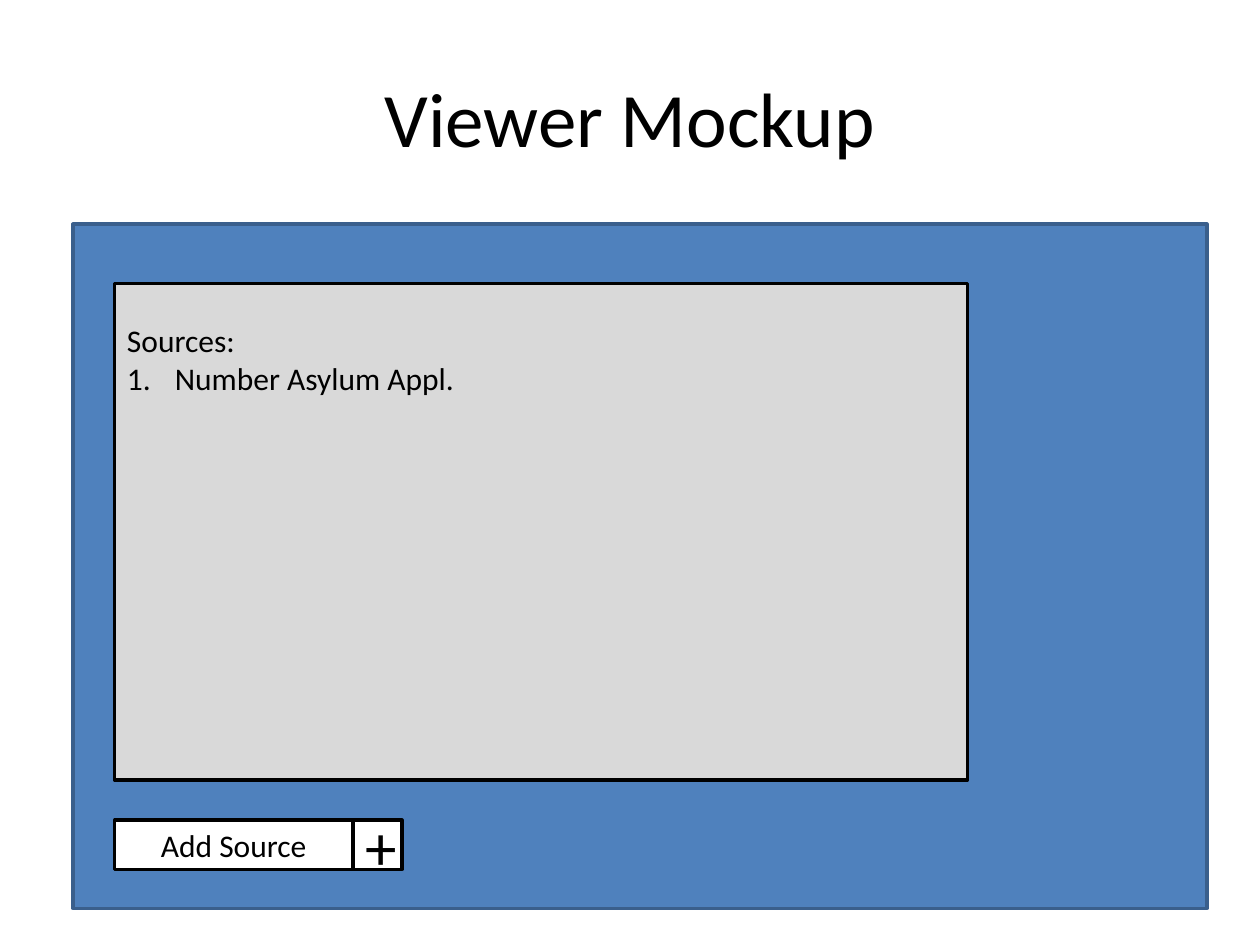
import pptx
import pptx.dml.color
import pptx.enum.shapes
import pptx.enum.text
import pptx.oxml
import pptx.util

Inches = pptx.util.Inches
RGBColor = pptx.dml.color.RGBColor
ALIGN = pptx.enum.text.PP_ALIGN
ANCHOR = pptx.enum.text.MSO_ANCHOR

BLACK = RGBColor(0x00, 0x00, 0x00)
WHITE = RGBColor(0xFF, 0xFF, 0xFF)
GREY = RGBColor(0xD9, 0xD9, 0xD9)
BLUE = RGBColor(0x4F, 0x81, 0xBD)
DARK_BLUE = RGBColor(0x3A, 0x5F, 0x8C)


def write(p, text, size, align):
    p.text = text
    p.alignment = align
    for r in p.runs:
        r.font.name = "Calibri"
        r.font.size = pptx.util.Pt(size)
        r.font.color.rgb = BLACK


def add_box(s, left, top, width, height, fill, line=BLACK):
    sp = s.shapes.add_shape(
        pptx.enum.shapes.MSO_SHAPE.RECTANGLE,
        Inches(left), Inches(top), Inches(width), Inches(height))
    sp.shadow.inherit = False
    sp.fill.solid()
    sp.fill.fore_color.rgb = fill
    sp.line.color.rgb = line
    sp.line.width = pptx.util.Pt(2)
    return sp


def number_paragraph(p, indent):
    pPr = p._p.get_or_add_pPr()
    pPr.set("marL", str(Inches(indent)))
    pPr.set("indent", str(-Inches(indent)))
    pPr.append(pptx.oxml.parse_xml(
        '<a:buFont xmlns:a="http://schemas.openxmlformats.org/drawingml/2006/main"'
        ' typeface="+mj-lt"/>'))
    pPr.append(pptx.oxml.parse_xml(
        '<a:buAutoNum xmlns:a="http://schemas.openxmlformats.org/drawingml/2006/main"'
        ' type="arabicPeriod"/>'))


def add_title(s, left, top, width, height):
    tf = s.shapes.add_textbox(
        Inches(left), Inches(top), Inches(width), Inches(height)).text_frame
    tf.word_wrap = True
    tf.vertical_anchor = ANCHOR.MIDDLE
    write(tf.paragraphs[0], "Viewer Mockup", 44, ALIGN.CENTER)


def add_source_button(s, left, top, width, height):
    # Label, then a square plus button at the right end
    label_width = width - height
    parts = [("Add Source", 18, left, label_width),
             ("+", 36, left + label_width, height)]
    for text, size, x, w in parts:
        tf = add_box(s, x, top, w, height, WHITE).text_frame
        tf.vertical_anchor = ANCHOR.MIDDLE
        write(tf.paragraphs[0], text, size, ALIGN.CENTER)


def add_source_list(s, left, top, width, height):
    tf = add_box(s, left, top, width, height, GREY).text_frame
    tf.vertical_anchor = ANCHOR.TOP
    tf.margin_top = Inches(0.3)
    write(tf.paragraphs[0], "Sources:", 18, ALIGN.LEFT)
    p = tf.add_paragraph()
    number_paragraph(p, 0.38)
    write(p, "Number Asylum Appl.", 18, ALIGN.LEFT)


def add_viewer(s, left, top, width, height):
    add_box(s, left, top, width, height, BLUE, DARK_BLUE)
    inner_left = left + 0.33
    add_source_button(s, inner_left, top + 4.73, 2.28, 0.39)
    add_source_list(s, inner_left, top + 0.47, 6.77, 3.94)


def main():
    prs = pptx.Presentation()
    prs.slide_width = Inches(10)
    prs.slide_height = Inches(7.5)
    s = prs.slides.add_slide(prs.slide_layouts[6])
    add_title(s, 0.5, 0.3, 9, 1.25)
    add_viewer(s, 0.58, 1.78, 9, 5.43)
    prs.save("out.pptx")


if __name__ == "__main__":
    main()
